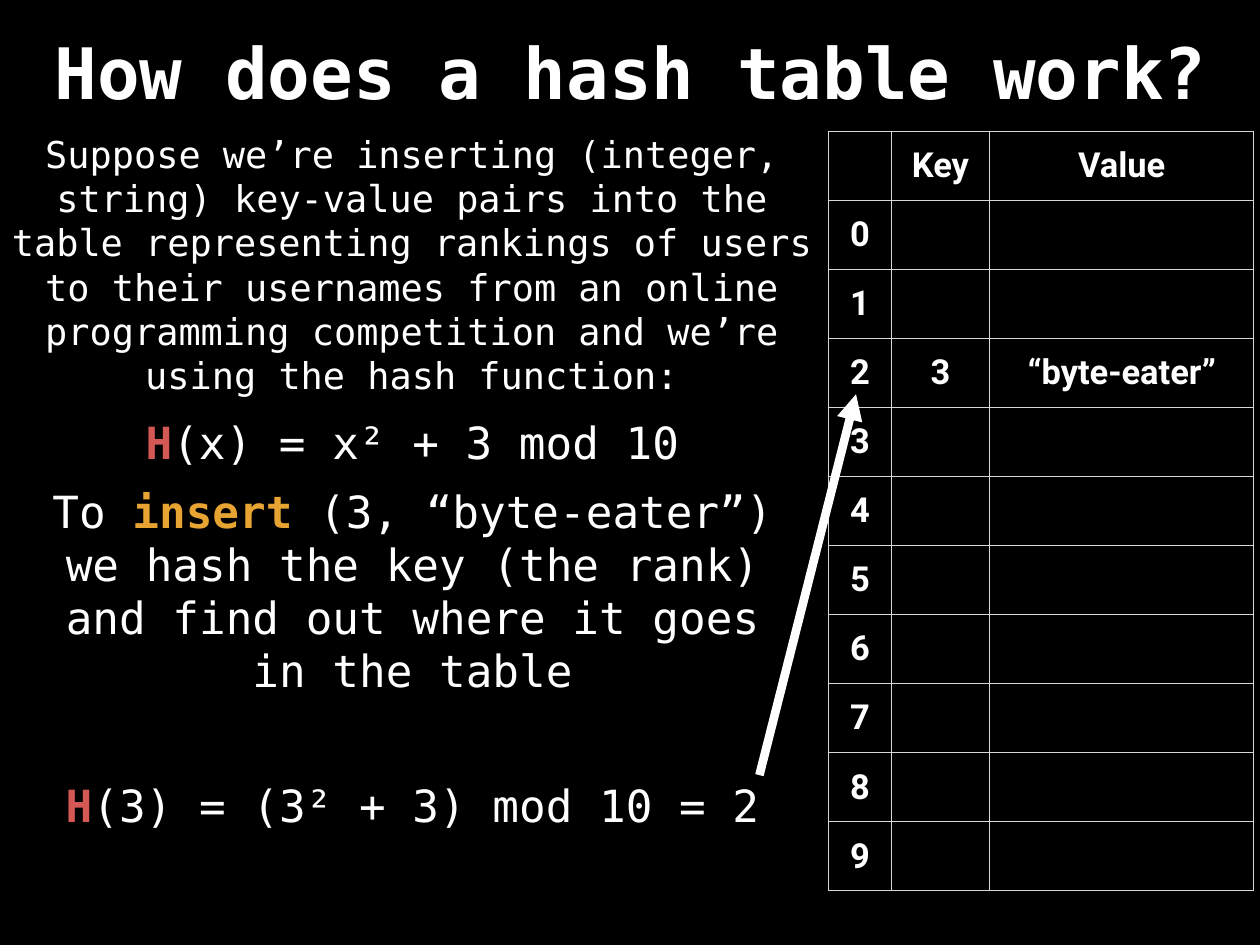
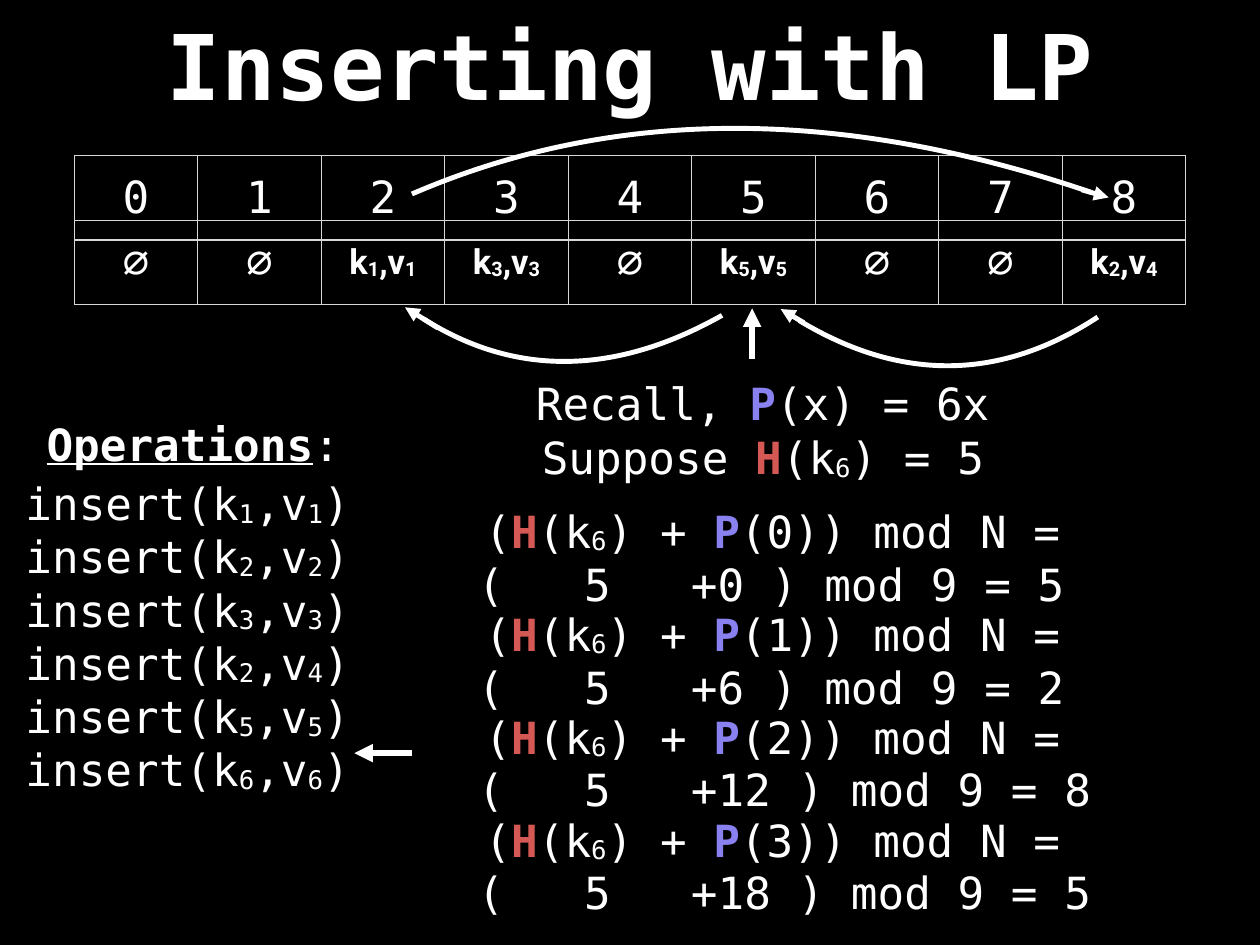
from dataclasses import dataclass

from lxml import etree
from pptx import Presentation
from pptx import util as u
from pptx.dml.color import RGBColor
from pptx.enum import shapes, text
from pptx.oxml.ns import qn


@dataclass(frozen=True)
class Theme:
    background: str = "000000"
    ink: str = "FFFFFF"
    grid: str = "D6D7D6"
    mono: str = "DejaVu Sans Mono"
    sans: str = "Roboto"
    body: float = 36
    intro: float = 30
    cell: float = 28
    margin: float = 0.15


THEME = Theme()
STYLES = {
    "hash": {"colour": "D45854", "bold": True},
    "probe": {"colour": "8981F0", "bold": True},
    "insert": {"colour": "E8A432", "bold": True},
    "bold": {"bold": True},
    "heading": {"bold": True, "underline": True},
    "sub": {"sub": True},
    "bold sub": {"bold": True, "sub": True},
}
SLIDE_SIZE = (36.12, 27.09)
LINE_HEIGHT = 1.73
CHARACTER_WIDTH = 0.7646


def key_value(key, value, bold=False):
    plain, sub = ("bold", "bold sub") if bold else ("", "sub")
    return [("k", plain), (key, sub), (",v", plain), (value, sub)]


HASH_TITLE = ("How does a hash table work?", 57.6, (1.22, 0.41, 33.71, 3.25))
INTRO = (
    "Suppose we’re inserting (integer, string) key-value pairs into the table "
    "representing rankings of users to their usernames from an online "
    "programming competition and we’re using the hash function:"
)
HASH_FUNCTION = [("H", "hash"), ("(x) = x² + 3 mod 10", "")]
INSERT_TEXT = [
    ("To ", ""),
    ("insert", "insert"),
    (" (3, “byte-eater”) we hash the key (the rank) and find out where it goes in the table", ""),
]
HASH_RESULT = [("H", "hash"), ("(3) = (3² + 3) mod 10 = 2", "")]
ENTRIES = {2: ("3", "“byte-eater”")}
HASH_ROWS = [("", "Key", "Value")] + [
    (str(index), *ENTRIES.get(index, ("", ""))) for index in range(10)
]

PROBING_TITLE = ("Inserting with LP", 73.6, (0, 0.2, 36.12, 3.3))
SLOT_COUNT = 9
SLOTS = {2: ("1", "1"), 3: ("3", "3"), 5: ("5", "5"), 8: ("2", "4")}
OPERATIONS = [("1", "1"), ("2", "2"), ("3", "3"), ("2", "4"), ("5", "5"), ("6", "6")]
RECALL = [("Recall, ", ""), ("P", "probe"), ("(x) = 6x", "")]
SUPPOSE = [("Suppose ", ""), ("H", "hash"), ("(k", ""), ("6", "sub"), (") = 5", "")]
PROBES = [(0, 5), (6, 2), (12, 8), (18, 5)]
STRAIGHT_ARROWS = [((11.81, 21.59), (10.16, 21.59)), ((21.56, 10.29), (21.56, 8.84))]
CURVED_ARROWS = [
    ([(12.14, 9.14), (14.76, 10.8), (17.63, 10.77), (20.7, 9.04)], (12.55, 9.4), (11.61, 8.81)),
    ([(11.81, 5.56), (17.58, 3.07), (24.05, 3.05), (31.27, 5.51)], (31.01, 5.44), (31.78, 5.66)),
    ([(22.91, 9.19), (25.83, 10.95), (28.68, 10.92), (31.47, 9.09)], (23.04, 9.25), (22.38, 8.86)),
]


def colour(value):
    return RGBColor.from_string(value)


def lengths(values):
    return [u.Cm(value) for value in values]


def add_runs(paragraph, runs, size, font=THEME.mono):
    for content, name in runs:
        style = STYLES.get(name, {})
        run = paragraph.add_run()
        run.text = content
        run.font.name = font
        run.font.size = u.Pt(size)
        run.font.bold = style.get("bold", False)
        run.font.underline = style.get("underline", False)
        run.font.color.rgb = colour(style.get("colour", THEME.ink))
        if style.get("sub"):
            run.font._element.set("baseline", "-6000")


def add_text(slide, box, paragraphs, size=THEME.body, wrap=False,
             align=text.PP_ALIGN.CENTER, anchor=text.MSO_ANCHOR.MIDDLE, tabs=()):
    frame = slide.shapes.add_textbox(*lengths(box)).text_frame
    frame.word_wrap = wrap
    frame.vertical_anchor = anchor
    frame.margin_left = frame.margin_right = u.Cm(THEME.margin)
    frame.margin_top = frame.margin_bottom = u.Cm(THEME.margin)
    for index, runs in enumerate(paragraphs):
        paragraph = frame.add_paragraph() if index else frame.paragraphs[0]
        paragraph.alignment = align
        if tabs:
            tab_list = etree.SubElement(paragraph._p.get_or_add_pPr(), qn("a:tabLst"))
            for column, side in tabs:
                position = u.Cm(column * CHARACTER_WIDTH)
                etree.SubElement(tab_list, qn("a:tab"), pos=str(position), algn=side)
        add_runs(paragraph, runs, size)


def add_title(slide, title):
    content, size, box = title
    add_text(slide, box, [[(content, "bold")]], size, wrap=True)


def style_cell(cell):
    cell.fill.background()
    cell.vertical_anchor = text.MSO_ANCHOR.MIDDLE
    cell.margin_left = cell.margin_right = u.Cm(THEME.margin)
    cell.margin_top = cell.margin_bottom = u.Cm(THEME.margin)
    properties = cell._tc.get_or_add_tcPr()
    for index, side in enumerate(("lnL", "lnR", "lnT", "lnB")):
        border = etree.Element(qn(f"a:{side}"), w=str(u.Pt(1)))
        fill = etree.SubElement(border, qn("a:solidFill"))
        etree.SubElement(fill, qn("a:srgbClr"), val=THEME.grid)
        properties.insert(index, border)


def add_grid(slide, corner, widths, height, rows):
    size = (sum(widths), height * len(rows))
    table = slide.shapes.add_table(len(rows), len(widths), *lengths(corner + size)).table
    table.first_row = table.horz_banding = False
    for column, width in zip(table.columns, widths):
        column.width = u.Cm(width)
    for row, contents in zip(table.rows, rows):
        row.height = u.Cm(height)
        for cell, (runs, size, font) in zip(row.cells, contents):
            style_cell(cell)
            paragraph = cell.text_frame.paragraphs[0]
            paragraph.alignment = text.PP_ALIGN.CENTER
            add_runs(paragraph, runs, size, font)


def add_arrow(slide, start, end, width):
    arrow = slide.shapes.add_connector(
        shapes.MSO_CONNECTOR.STRAIGHT, *lengths(start + end))
    arrow.line.color.rgb = colour(THEME.ink)
    arrow.line.width = u.Pt(width)
    etree.SubElement(arrow.line._get_or_add_ln(), qn("a:tailEnd"), type="triangle")
    etree.SubElement(arrow._element.spPr, qn("a:effectLst"))


def add_curve(slide, points, width):
    start, first, second, end = points
    middle = tuple((a + 3 * b + 3 * c + d) / 8 for a, b, c, d in zip(*points))
    builder = slide.shapes.build_freeform(*lengths(start))
    builder.add_line_segments([lengths(middle), lengths(end)], close=False)
    curve = builder.convert_to_shape()
    curve.shadow.inherit = False
    curve.fill.background()
    curve.line.color.rgb = colour(THEME.ink)
    curve.line.width = u.Pt(width)
    outline = curve._element.xpath(".//a:path")[0]
    for segment in outline.findall(qn("a:lnTo")):
        outline.remove(segment)
    bezier = etree.SubElement(outline, qn("a:cubicBezTo"))
    for x, y in (first, second, end):
        etree.SubElement(bezier, qn("a:pt"), x=str(u.Cm(x) - curve.left),
                         y=str(u.Cm(y) - curve.top))


def build_hash_slide(slide):
    rows = [[([(value, "bold")] if value else [], THEME.cell, THEME.sans) for value in row]
            for row in HASH_ROWS]
    add_grid(slide, (23.75, 3.76), (1.8, 2.82, 7.57), 1.98, rows)
    add_text(slide, (0.15, 3.73, 23.32, 7.7), [[(INTRO, "")]], THEME.intro, wrap=True)
    add_text(slide, (1.17, 13.89, 21.31, 6.07), [INSERT_TEXT], wrap=True)
    add_text(slide, (1.73, 22.2, 20.19, LINE_HEIGHT), [HASH_RESULT])
    add_arrow(slide, (21.77, 22.22), (24.54, 11.3), 7)
    add_title(slide, HASH_TITLE)
    add_text(slide, (4.01, 11.81, 15.62, LINE_HEIGHT), [HASH_FUNCTION])


def build_probing_slide(slide):
    widths = (3.54,) * SLOT_COUNT
    slots = [
        (key_value(*SLOTS[index], bold=True), THEME.cell, THEME.sans) if index in SLOTS
        else ([("∅", "")], THEME.body, THEME.mono)
        for index in range(SLOT_COUNT)
    ]
    indices = [([(str(index), "")], THEME.body, THEME.mono) for index in range(SLOT_COUNT)]
    add_grid(slide, (2.13, 6.32), widths, 2.41, [slots])
    add_title(slide, PROBING_TITLE)
    add_text(slide, (1.17, 11.86, 8.74, LINE_HEIGHT), [[("Operations", "heading"), (":", "")]])
    add_grid(slide, (2.13, 4.47), widths, 2.41, [indices])
    add_text(slide, (15.21, 10.67, 13.31, LINE_HEIGHT), [RECALL])
    add_text(slide, (15.34, 12.24, 13.06, LINE_HEIGHT), [SUPPOSE])
    left, top = text.PP_ALIGN.LEFT, text.MSO_ANCHOR.TOP
    calls = [[("insert(", ""), *key_value(*pair), (")", "")] for pair in OPERATIONS]
    add_text(slide, (0.58, 13.51, 10.52, 8.97), calls, align=left, anchor=top)
    for start, end in STRAIGHT_ARROWS:
        add_arrow(slide, start, end, 5)
    for points, start, end in CURVED_ARROWS:
        add_curve(slide, points, 4)
        add_arrow(slide, start, end, 4)
    for step, (offset, slot) in enumerate(PROBES):
        y = 14.3 + 2.95 * step
        formula = [("(", ""), ("H", "hash"), ("(k", ""), ("6", "sub"), (") + ", ""),
                   ("P", "probe"), (f"({step})) mod N =", "")]
        add_text(slide, (13.74, y, 17.65, LINE_HEIGHT), [formula], align=left, anchor=top)
        result = [(f"(\t5\t+\t{offset} ) mod 9 = {slot}", "")]
        add_text(slide, (13.54, y + 1.56, 19.2, LINE_HEIGHT), [result], wrap=True,
                 align=left, tabs=((4, "l"), (8, "l"), (12, "r")))


def main():
    presentation = Presentation()
    presentation.slide_width, presentation.slide_height = lengths(SLIDE_SIZE)
    background = presentation.slide_master.background.fill
    background.solid()
    background.fore_color.rgb = colour(THEME.background)
    for build in (build_hash_slide, build_probing_slide):
        build(presentation.slides.add_slide(presentation.slide_layouts[6]))
    presentation.save("out.pptx")


if __name__ == "__main__":
    main()
